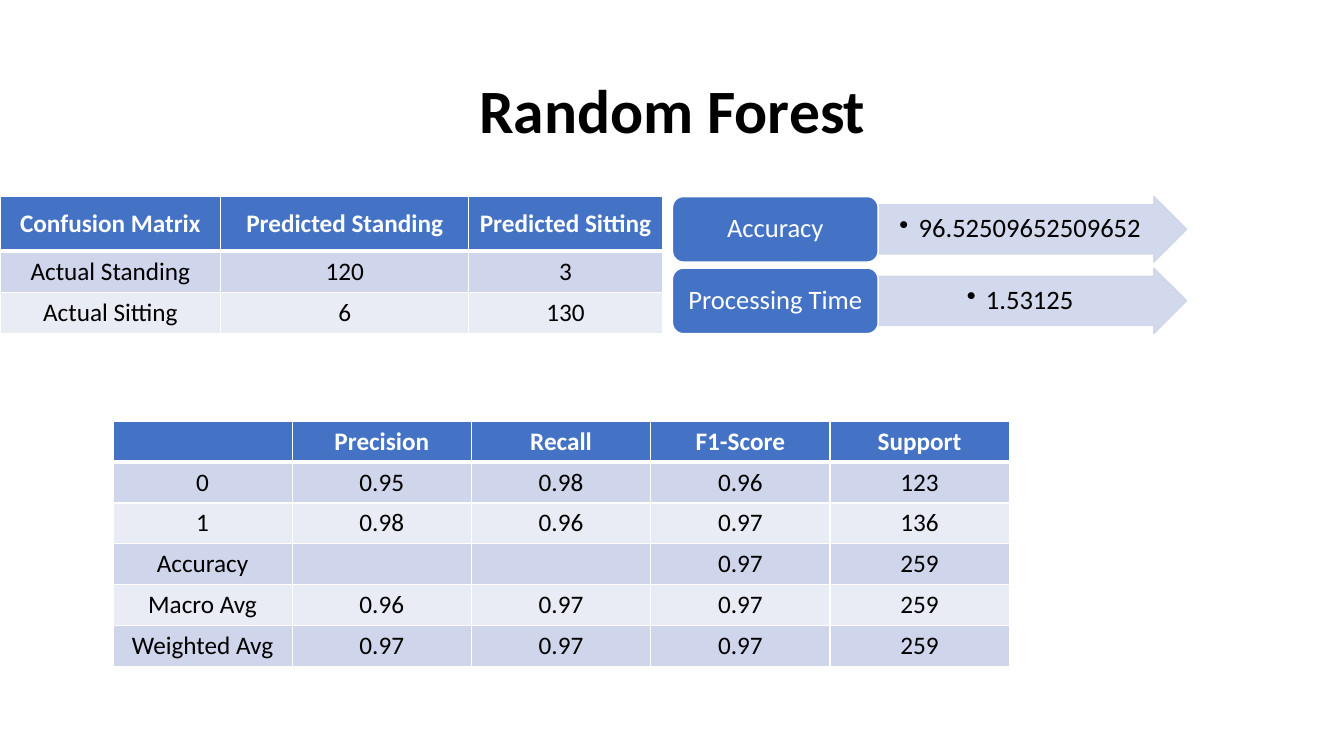
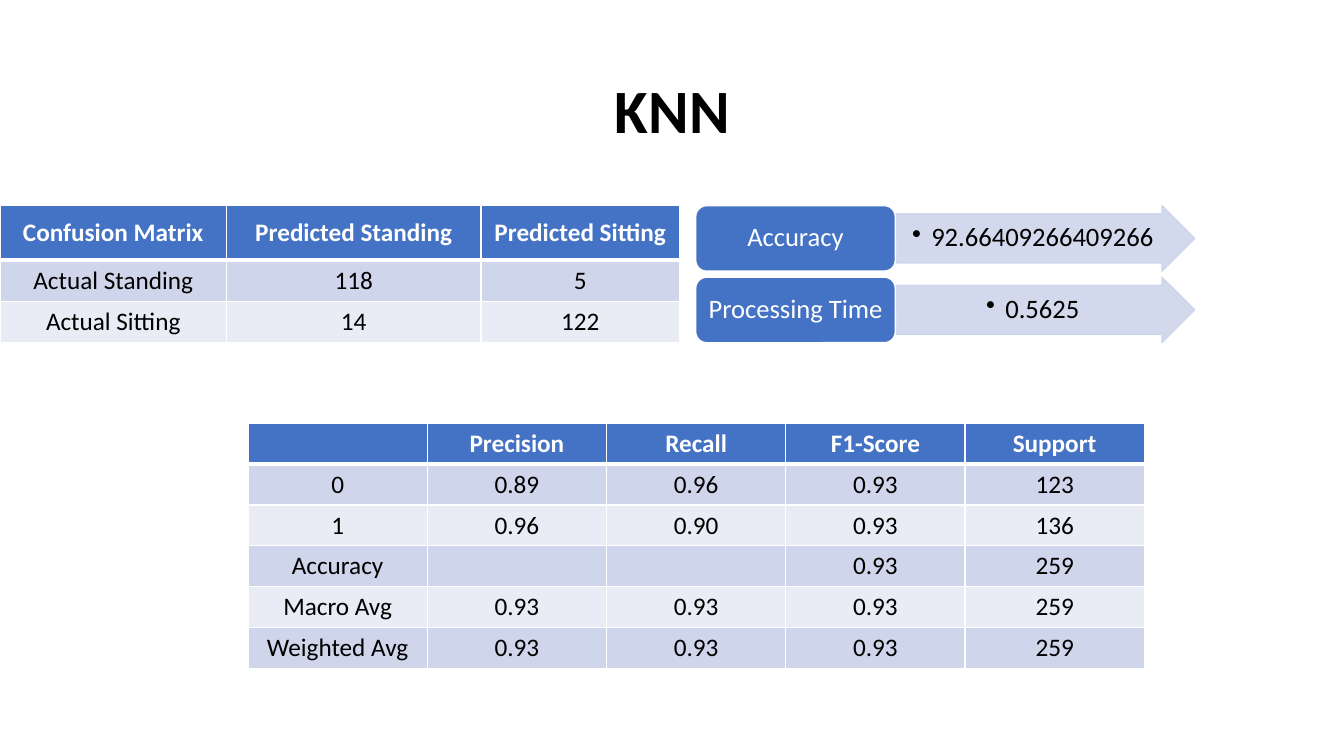
"""Build two slides that report the results of two classifiers."""
from lxml import etree
from pptx import Presentation
from pptx.dml.color import RGBColor
from pptx.enum.shapes import MSO_SHAPE
from pptx.enum.text import MSO_ANCHOR, PP_ALIGN
from pptx.oxml.ns import qn
from pptx.util import Inches, Pt

ROUNDED = MSO_SHAPE.ROUNDED_RECTANGLE
ARROW = MSO_SHAPE.RIGHT_ARROW
MIDDLE = MSO_ANCHOR.MIDDLE
CENTER = PP_ALIGN.CENTER

FONT = "Calibri"
BLACK = RGBColor(0x00, 0x00, 0x00)
WHITE = RGBColor(0xFF, 0xFF, 0xFF)
BLUE = RGBColor(0x44, 0x72, 0xC4)
BAND_DARK = RGBColor(0xCF, 0xD5, 0xEA)
BAND_LIGHT = RGBColor(0xE9, 0xEB, 0xF5)

TITLE_FORMAT = {"size": Pt(44), "bold": True}
HEADER_FORMAT = {"size": Pt(18), "bold": True}
BODY_FORMAT = {"size": Pt(18), "bold": False}
METRIC_FORMAT = {"size": Pt(19)}

MATRIX_HEADER = ("Confusion Matrix", "Predicted Standing", "Predicted Sitting")
MATRIX_COLUMNS = (2.19, 2.46, 1.92)
MATRIX_ROWS = (0.54, 0.41, 0.41)
REPORT_HEADER = ("", "Precision", "Recall", "F1-Score", "Support")
REPORT_COLUMNS = (1.78,) * len(REPORT_HEADER)
REPORT_WIDTH = 8.89
REPORT_HEIGHT = 2.43
METRIC_HEIGHT = 0.65
METRIC_PITCH = 0.71
LABEL_SHARE = 0.4

RESULTS = [
    {
        "title": "Random Forest",
        "top": 1.95,
        "matrix_width": 6.57,
        "matrix": [("Actual Standing", "120", "3"), ("Actual Sitting", "6", "130")],
        "metrics_left": 6.67,
        "metrics_width": 5.1,
        "metrics": [("Accuracy", "96.52509652509652"), ("Processing Time", "1.53125")],
        "report_at": (1.12, 4.18),
        "report": [
            ("0", "0.95", "0.98", "0.96", "123"),
            ("1", "0.98", "0.96", "0.97", "136"),
            ("Accuracy", "", "", "0.97", "259"),
            ("Macro Avg", "0.96", "0.97", "0.97", "259"),
            ("Weighted Avg", "0.97", "0.97", "0.97", "259"),
        ],
    },
    {
        "title": "KNN",
        "top": 2.04,
        "matrix_width": 6.74,
        "matrix": [("Actual Standing", "118", "5"), ("Actual Sitting", "14", "122")],
        "metrics_left": 6.9,
        "metrics_width": 4.95,
        "metrics": [("Accuracy", "92.66409266409266"), ("Processing Time", "0.5625")],
        "report_at": (2.46, 4.2),
        "report": [
            ("0", "0.89", "0.96", "0.93", "123"),
            ("1", "0.96", "0.90", "0.93", "136"),
            ("Accuracy", "", "", "0.93", "259"),
            ("Macro Avg", "0.93", "0.93", "0.93", "259"),
            ("Weighted Avg", "0.93", "0.93", "0.93", "259"),
        ],
    },
]


def write(paragraph, text, color, font_format):
    paragraph.alignment = CENTER
    if text:
        run = paragraph.add_run()
        run.text = text
        run.font.name = FONT
        run.font.color.rgb = color
        for name, value in font_format.items():
            setattr(run.font, name, value)


def add_title(slide, text):
    box = slide.shapes.add_textbox(Inches(0.92), Inches(0.4), Inches(11.5), Inches(1.45))
    frame = box.text_frame
    frame.word_wrap = True
    frame.vertical_anchor = MIDDLE
    frame.paragraphs[0].line_spacing = 0.9
    write(frame.paragraphs[0], text, BLACK, TITLE_FORMAT)


def add_border(cell, side, points):
    properties = cell._tc.get_or_add_tcPr()
    line = etree.SubElement(properties, qn(f"a:ln{side}"), w=str(Pt(points)))
    fill = etree.SubElement(line, qn("a:solidFill"))
    etree.SubElement(fill, qn("a:srgbClr"), val=str(WHITE))


def add_grid(slide, position, widths, heights, rows):
    left, top = position
    frame = slide.shapes.add_table(
        len(rows), len(widths), Inches(left), Inches(top),
        Inches(sum(widths)), Inches(sum(heights)))
    table = frame.table
    for column, width in zip(table.columns, widths):
        column.width = Inches(width)
    for row_number, (row, height, texts) in enumerate(zip(table.rows, heights, rows)):
        row.height = Inches(height)
        is_header = row_number == 0
        band = BLUE if is_header else (BAND_LIGHT, BAND_DARK)[row_number % 2]
        borders = {"L": 1, "R": 1, "T": 3 if row_number == 1 else 1, "B": 3 if is_header else 1}
        for cell, text in zip(row.cells, texts):
            for side, points in borders.items():
                add_border(cell, side, points)
            cell.fill.solid()
            cell.fill.fore_color.rgb = band
            cell.vertical_anchor = MIDDLE
            write(cell.text_frame.paragraphs[0], text,
                  WHITE if is_header else BLACK,
                  HEADER_FORMAT if is_header else BODY_FORMAT)


def add_metric_shape(slide, kind, box, fill_color, line_color, margins):
    shape = slide.shapes.add_shape(kind, *(Inches(length) for length in box))
    shape.shadow.inherit = False
    shape.fill.solid()
    shape.fill.fore_color.rgb = fill_color
    shape.line.color.rgb = line_color
    shape.line.width = Pt(1)
    frame = shape.text_frame
    frame.word_wrap = True
    frame.vertical_anchor = MIDDLE
    frame.margin_left = frame.margin_right = Inches(margins[0])
    frame.margin_top = frame.margin_bottom = Inches(margins[1])
    frame.paragraphs[0].line_spacing = 0.9
    return shape


def add_metric(slide, left, top, width, label, value):
    label_width = width * LABEL_SHARE
    arrow = add_metric_shape(
        slide, ARROW, (left + label_width, top, width - label_width, METRIC_HEIGHT),
        BAND_DARK, BAND_DARK, (0.01, 0.01))
    arrow.adjustments[0] = 0.75
    arrow.adjustments[1] = 0.5
    for color in arrow._element.spPr.iter(qn("a:srgbClr")):
        etree.SubElement(color, qn("a:alpha"), val="90000")
    paragraph = arrow.text_frame.paragraphs[0]
    properties = paragraph._p.get_or_add_pPr()
    properties.set("marL", str(Inches(0.19)))
    properties.set("indent", str(Inches(-0.19)))
    etree.SubElement(properties, qn("a:buChar"), char="•")
    write(paragraph, value, BLACK, METRIC_FORMAT)

    tile = add_metric_shape(
        slide, ROUNDED, (left, top, label_width, METRIC_HEIGHT), BLUE, WHITE, (0.08, 0.04))
    write(tile.text_frame.paragraphs[0], label, WHITE, METRIC_FORMAT)


def add_result(presentation, result):
    slide = presentation.slides.add_slide(presentation.slide_layouts[6])
    add_title(slide, result["title"])

    scale = result["matrix_width"] / sum(MATRIX_COLUMNS)
    matrix_widths = [width * scale for width in MATRIX_COLUMNS]
    add_grid(slide, (0, result["top"]), matrix_widths, MATRIX_ROWS,
             [MATRIX_HEADER, *result["matrix"]])

    for index, (label, value) in enumerate(result["metrics"]):
        add_metric(slide, result["metrics_left"], result["top"] + index * METRIC_PITCH,
                   result["metrics_width"], label, value)

    report = [REPORT_HEADER, *result["report"]]
    column_count = len(REPORT_HEADER)
    add_grid(slide, result["report_at"], [REPORT_WIDTH / column_count] * column_count,
             [REPORT_HEIGHT / len(report)] * len(report), report)


def main():
    presentation = Presentation()
    presentation.slide_width = Inches(13.33)
    presentation.slide_height = Inches(7.5)
    for result in RESULTS:
        add_result(presentation, result)
    presentation.save("out.pptx")


if __name__ == "__main__":
    main()
